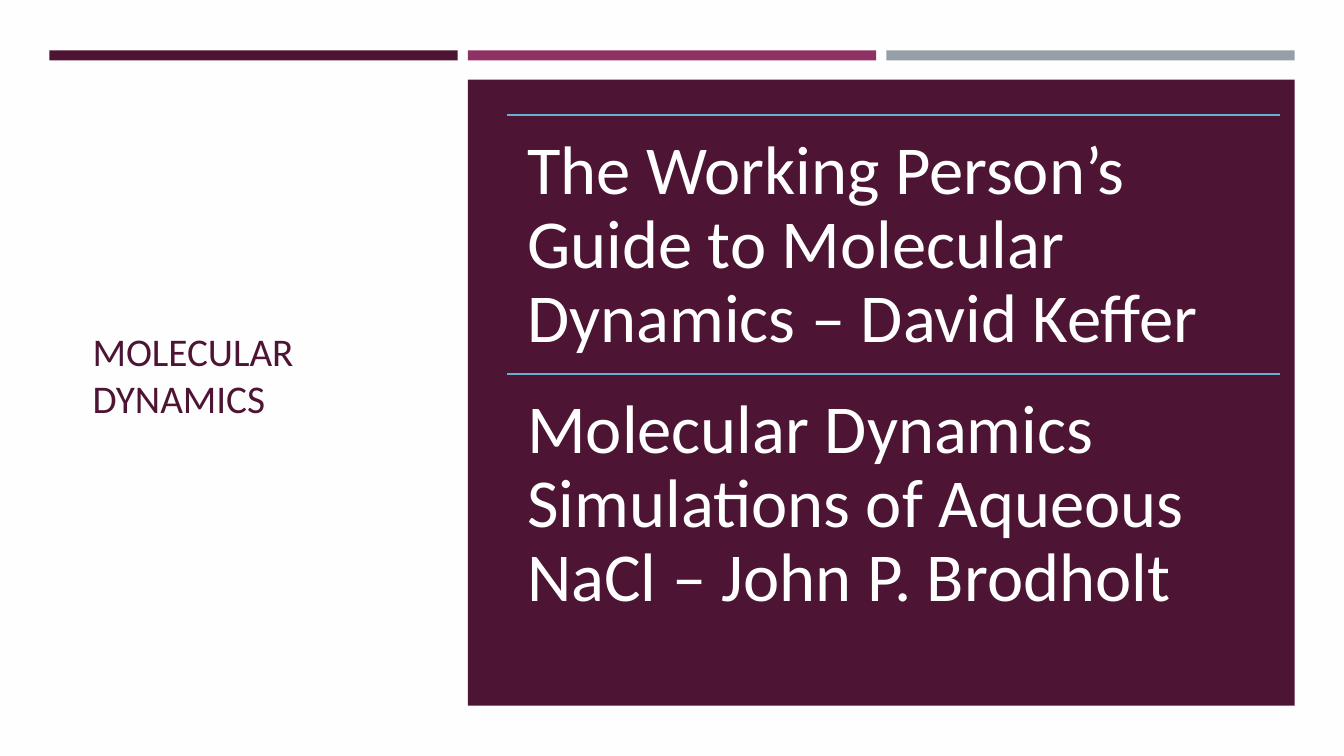
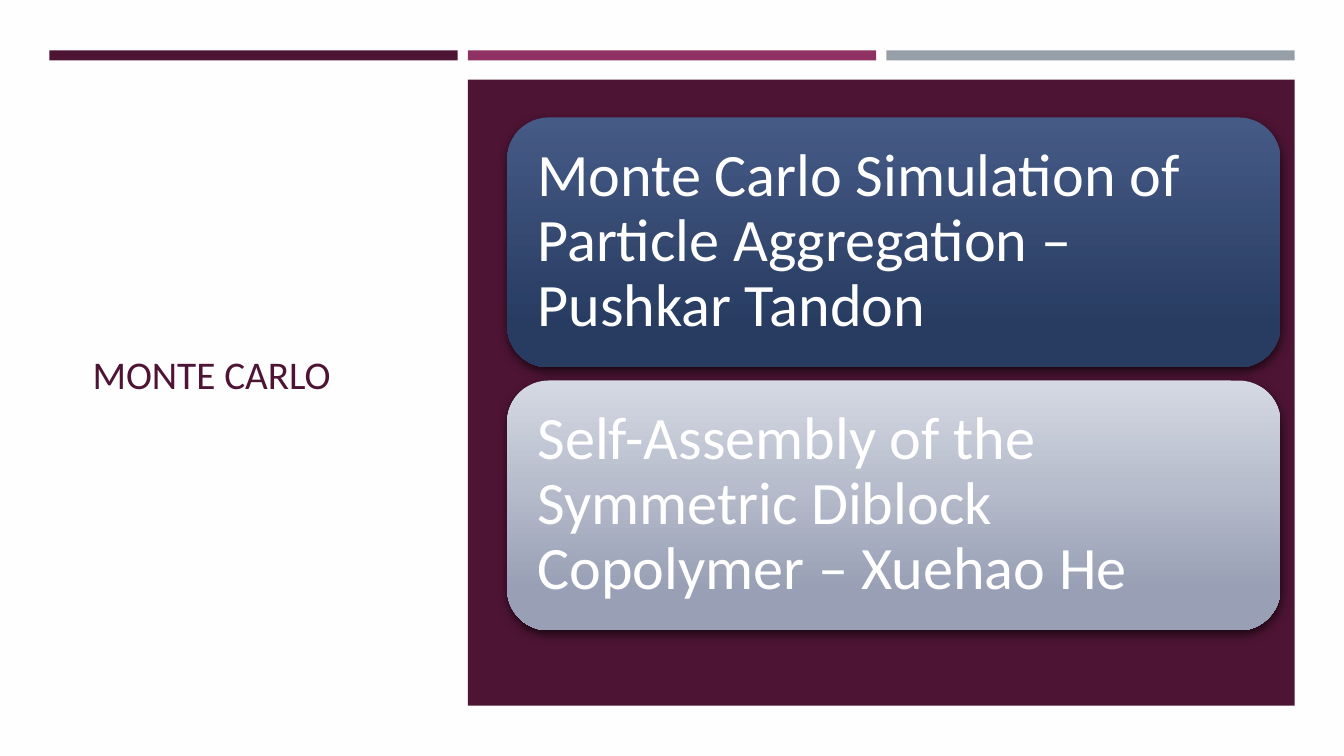
from lxml import etree
from pptx import Presentation
from pptx.dml.color import RGBColor
from pptx.enum.shapes import MSO_CONNECTOR, MSO_SHAPE
from pptx.enum.text import MSO_ANCHOR, PP_ALIGN
from pptx.oxml.ns import qn
from pptx.util import Inches, Pt

RECTANGLE = MSO_SHAPE.RECTANGLE
ROUNDED = MSO_SHAPE.ROUNDED_RECTANGLE
STRAIGHT = MSO_CONNECTOR.STRAIGHT
TOP, MIDDLE = MSO_ANCHOR.TOP, MSO_ANCHOR.MIDDLE
LEFT = PP_ALIGN.LEFT


def color(hex_string):
    return RGBColor.from_string(hex_string)


class Deck:
    """Shared style, grid and current slide; lengths are inches."""

    FONT = "Calibri"
    PAPER, PLUM, WHITE, RULE = "FFFEFF", "4D1434", "FFFFFF", "66B1CE"
    BANDS = (PLUM, "903163", "969FA7")

    # Three-column grid
    MARGIN, COLUMN, GUTTER = 0.49, 4.05, 0.1
    BAND_TOP, BAND_HEIGHT = 0.5, 0.1
    PANEL_TOP, PANEL_HEIGHT = 0.79, 6.21
    # Title and list areas, which share top and height
    AREA_TOP, AREA_HEIGHT = 1.14, 5.14
    TITLE_LEFT, TITLE_WIDTH = 0.82, 3.34
    LIST_LEFT, LIST_WIDTH = 5.03, 7.67

    def __init__(self):
        self.presentation = Presentation()
        self.presentation.slide_width = Inches(13.33)
        self.presentation.slide_height = Inches(7.5)
        self.slide = None

    def column_left(self, index):
        return self.MARGIN + index * (self.COLUMN + self.GUTTER)

    def row_tops(self, count, height, gap=0):
        """Tops of equal rows, centred in the list area."""
        used = count * height + (count - 1) * gap
        first = self.AREA_TOP + (self.AREA_HEIGHT - used) / 2
        return [first + row * (height + gap) for row in range(count)]

    # Slide frame: background, bands, panel, title
    def add_slide(self, title):
        self.slide = self.presentation.slides.add_slide(
            self.presentation.slide_layouts[6])
        background = self.slide.background.fill
        background.solid()
        background.fore_color.rgb = color(self.PAPER)
        for index, band in enumerate(self.BANDS):
            self.block(self.column_left(index), self.BAND_TOP,
                       self.COLUMN, self.BAND_HEIGHT, band)
        self.block(self.column_left(1), self.PANEL_TOP,
                   2 * self.COLUMN + self.GUTTER, self.PANEL_HEIGHT, self.PLUM)
        self.text_box(self.TITLE_LEFT, self.AREA_TOP, self.TITLE_WIDTH,
                      self.AREA_HEIGHT, title, 28, self.PLUM, MIDDLE)

    # Elements
    def shape(self, kind, left, top, width, height):
        shape = self.slide.shapes.add_shape(
            kind, Inches(left), Inches(top), Inches(width), Inches(height))
        shape.shadow.inherit = False
        shape.line.fill.background()
        return shape

    def block(self, left, top, width, height, fill):
        shape = self.shape(RECTANGLE, left, top, width, height)
        shape.fill.solid()
        shape.fill.fore_color.rgb = color(fill)

    def set_text(self, shape, text, size, text_color, anchor,
                 inset=0.1, spacing=1.0):
        frame = shape.text_frame
        frame.word_wrap = True
        frame.vertical_anchor = anchor
        frame.margin_left = frame.margin_right = Inches(inset)
        frame.margin_top = frame.margin_bottom = Inches(inset)
        paragraph = frame.paragraphs[0]
        paragraph.text = text
        paragraph.alignment = LEFT
        paragraph.line_spacing = spacing
        paragraph.font.name = self.FONT
        paragraph.font.size = Pt(size)
        paragraph.font.color.rgb = color(text_color)

    def text_box(self, left, top, width, height, *text_style, **layout):
        box = self.slide.shapes.add_textbox(
            Inches(left), Inches(top), Inches(width), Inches(height))
        self.set_text(box, *text_style, **layout)

    def rule(self, top):
        line = self.slide.shapes.add_connector(
            STRAIGHT, Inches(self.LIST_LEFT), Inches(top),
            Inches(self.LIST_LEFT + self.LIST_WIDTH), Inches(top))
        line.line.color.rgb = color(self.RULE)
        line.line.width = Pt(1)
        etree.SubElement(line.element.spPr, qn("a:effectLst"))

    def drop_shadow(self, shape):
        effects = shape.element.spPr.find(qn("a:effectLst"))
        shadow = etree.SubElement(
            effects, qn("a:outerShdw"), blurRad=str(Pt(7)), dist=str(Pt(3)),
            dir=str(84 * 60000), rotWithShape="0")
        black = etree.SubElement(shadow, qn("a:srgbClr"), val="000000")
        etree.SubElement(black, qn("a:alpha"), val="60000")

    # Lists
    def ruled_list(self, items):
        height = self.AREA_HEIGHT / len(items)
        for top, text in zip(self.row_tops(len(items), height), items):
            self.rule(top)
            self.text_box(self.LIST_LEFT, top, self.LIST_WIDTH, height, text,
                          49, self.WHITE, TOP, inset=0.2, spacing=0.9)

    def card_list(self, cards, height=2.48, gap=0.13):
        tops = self.row_tops(len(cards), height, gap)
        for top, (text, *gradient) in zip(tops, cards):
            card = self.shape(ROUNDED, self.LIST_LEFT, top,
                              self.LIST_WIDTH, height)
            card.fill.gradient()
            card.fill.gradient_angle = 270
            stops = zip(card.fill.gradient_stops, (0, 0.84), gradient)
            for stop, position, stop_color in stops:
                stop.position = position
                stop.color.rgb = color(stop_color)
            self.drop_shadow(card)
            self.set_text(card, text, 43, self.WHITE, MIDDLE,
                          inset=0.18, spacing=0.9)


def main():
    deck = Deck()

    # Slide 1: molecular dynamics
    deck.add_slide("MOLECULAR DYNAMICS")
    deck.ruled_list([
        "The Working Person’s Guide to Molecular Dynamics – David Keffer",
        "Molecular Dynamics Simulations of Aqueous NaCl – John P. Brodholt",
    ])

    # Slide 2: Monte Carlo
    deck.add_slide("MONTE CARLO")
    deck.card_list([
        ("Monte Carlo Simulation of Particle Aggregation – Pushkar Tandon",
         "455A85", "283C62"),
        ("Self-Assembly of the Symmetric Diblock Copolymer – Xuehao He",
         "D5D9E3", "99A0B5"),
    ])

    deck.presentation.save("out.pptx")


if __name__ == "__main__":
    main()
